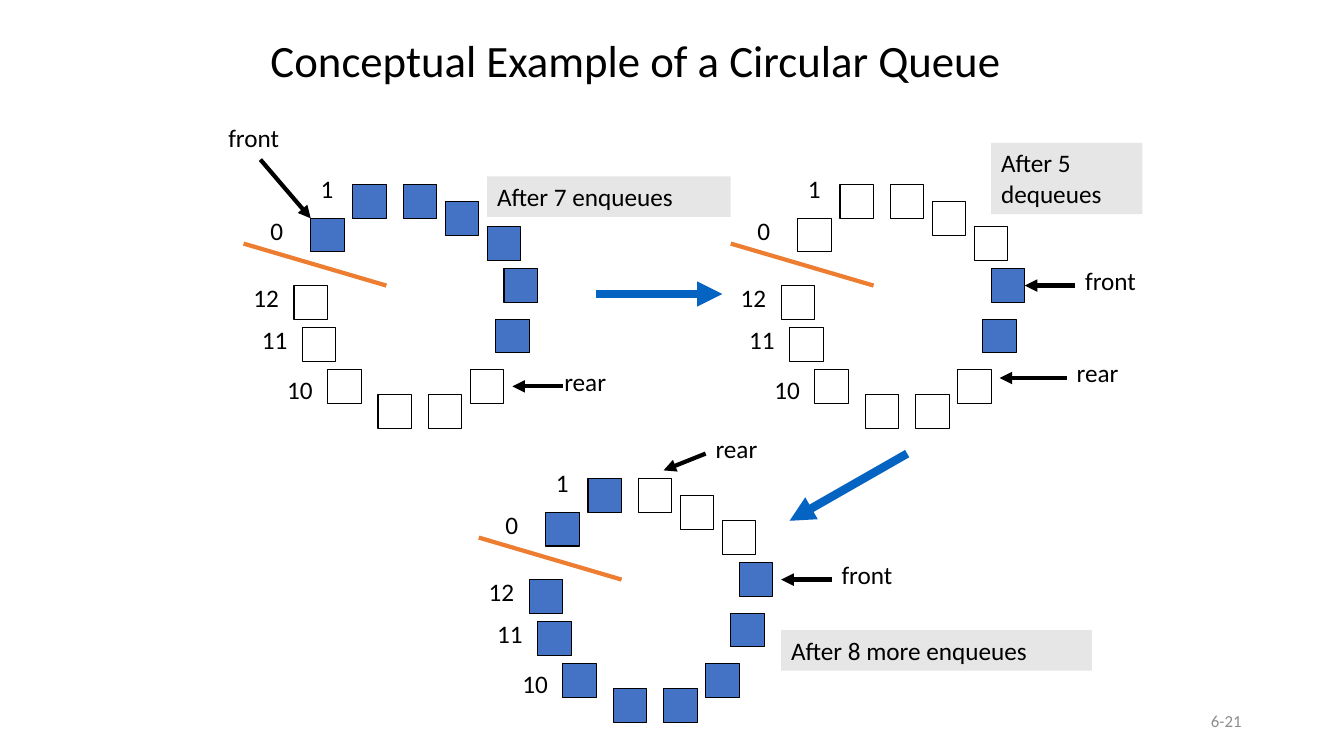
from pptx import Presentation
from pptx.dml.color import RGBColor
from pptx.enum.shapes import MSO_CONNECTOR, MSO_SHAPE
from pptx.enum.text import MSO_ANCHOR, PP_ALIGN
from pptx.oxml.ns import qn
from pptx.util import Pt
from lxml.etree import SubElement

BLACK = RGBColor(0x00, 0x00, 0x00)
OCCUPIED = RGBColor(0x44, 0x72, 0xC4)
DIVIDER = RGBColor(0xED, 0x7D, 0x31)
STEP = RGBColor(0x05, 0x63, 0xC1)
CAPTION = RGBColor(0xE7, 0xE6, 0xE6)
PAGE_GRAY = RGBColor(0x8C, 0x8C, 0x8C)

SLOTS = [(48, -18), (78, -42), (114, -42), (144, -30), (174, -12),
         (186, 18), (180, 54), (162, 90), (132, 108), (96, 108),
         (60, 90), (42, 60), (36, 30)]
INDEXES = [("1", 48, -54, 30), ("0", 12, -24, 30), ("12", 0, 24, 42),
           ("11", 6, 54, 54), ("10", 24, 90, 54)]
QUEUES = [(174, 174, 0, 7), (342, 384, 5, 10), (522, 174, 5, 2)]
CAPTIONS = [("After 7 enqueues", 348, 126, 174, 29),
            ("After 5 dequeues", 708, 102, 108, 51),
            ("After 8 more enqueues", 558, 450, 222, 29)]
POINTERS = [("front", 156, 84, 114, (186, 114), (222, 156)),
            ("rear", 396, 258, 114, (402, 276), (366, 276)),
            ("front", 768, 186, 60, (768, 204), (732, 204)),
            ("rear", 762, 252, 54, (762, 270), (714, 270)),
            ("front", 594, 396, 60, (594, 414), (558, 414)),
            ("rear", 504, 306, 54, (504, 324), (474, 336))]
STEPS = [((426, 210), (516, 210)), ((648, 324), (564, 372))]


class QueueSlide:
    font = "Calibri"
    size = 18
    slot = 24

    def __init__(self, slide):
        self.slide = slide

    def add_text(self, frame, text, size=None, color=BLACK, align=PP_ALIGN.LEFT):
        frame.word_wrap = True
        paragraph = frame.paragraphs[0]
        paragraph.alignment = align
        run = paragraph.add_run()
        run.text = text
        run.font.name = self.font
        run.font.size = Pt(size or self.size)
        run.font.color.rgb = color
        return paragraph

    def title(self, text, left, top, width, height):
        heading = self.slide.shapes.title
        heading.left, heading.top = Pt(left), Pt(top)
        heading.width, heading.height = Pt(width), Pt(height)
        heading.text_frame.vertical_anchor = MSO_ANCHOR.MIDDLE
        self.add_text(heading.text_frame, text, 32).line_spacing = 0.9

    def label(self, text, left, top, width, height=29, **style):
        box = self.slide.shapes.add_textbox(Pt(left), Pt(top), Pt(width), Pt(height))
        self.add_text(box.text_frame, text, **style)
        return box.text_frame

    def rectangle(self, left, top, width, height, fill=None, line=None):
        box = self.slide.shapes.add_shape(
            MSO_SHAPE.RECTANGLE, Pt(left), Pt(top), Pt(width), Pt(height))
        box.shadow.inherit = False
        if fill is None:
            box.fill.background()
        else:
            box.fill.solid()
            box.fill.fore_color.rgb = fill
        if line is None:
            box.line.fill.background()
        else:
            box.line.color.rgb = line
            box.line.width = Pt(0.75)
        return box.text_frame

    def caption(self, text, left, top, width, height):
        frame = self.rectangle(left, top, width, height, CAPTION)
        frame.vertical_anchor = MSO_ANCHOR.TOP
        self.add_text(frame, text)

    def line(self, start, end, color, weight, arrow=True):
        connector = self.slide.shapes.add_connector(
            MSO_CONNECTOR.STRAIGHT, *map(Pt, start + end))
        connector.line.color.rgb = color
        connector.line.width = Pt(weight)
        properties = connector.element.spPr
        if arrow:
            SubElement(properties.find(qn("a:ln")), qn("a:tailEnd"), type="triangle")
        SubElement(properties, qn("a:effectLst"))

    def queue(self, left, top, front, count):
        occupied = {(front + step) % len(SLOTS) for step in range(count)}
        for index, (dx, dy) in enumerate(SLOTS):
            fill = OCCUPIED if index in occupied else None
            self.rectangle(left + dx, top + dy, self.slot, self.slot, fill, BLACK)
        for text, dx, dy, width in INDEXES:
            self.label(text, left + dx, top + dy, width)
        self.line((left, top), (left + 102, top + 30), DIVIDER, 3, arrow=False)


def main():
    deck = Presentation()
    deck.slide_width, deck.slide_height = Pt(960), Pt(540)
    page = QueueSlide(deck.slides.add_slide(deck.slide_layouts[5]))
    page.title("Conceptual Example of a Circular Queue", 186, 12, 654, 66)
    number = page.label("6-21", 678, 500.5, 216, size=12, color=PAGE_GRAY,
                        align=PP_ALIGN.RIGHT)
    number.vertical_anchor = MSO_ANCHOR.MIDDLE
    for queue in QUEUES:
        page.queue(*queue)
    for caption in CAPTIONS:
        page.caption(*caption)
    for text, left, top, width, start, end in POINTERS:
        page.label(text, left, top, width)
        page.line(start, end, BLACK, 3)
    for start, end in STEPS:
        page.line(start, end, STEP, 6)
    deck.save("out.pptx")


if __name__ == "__main__":
    main()
